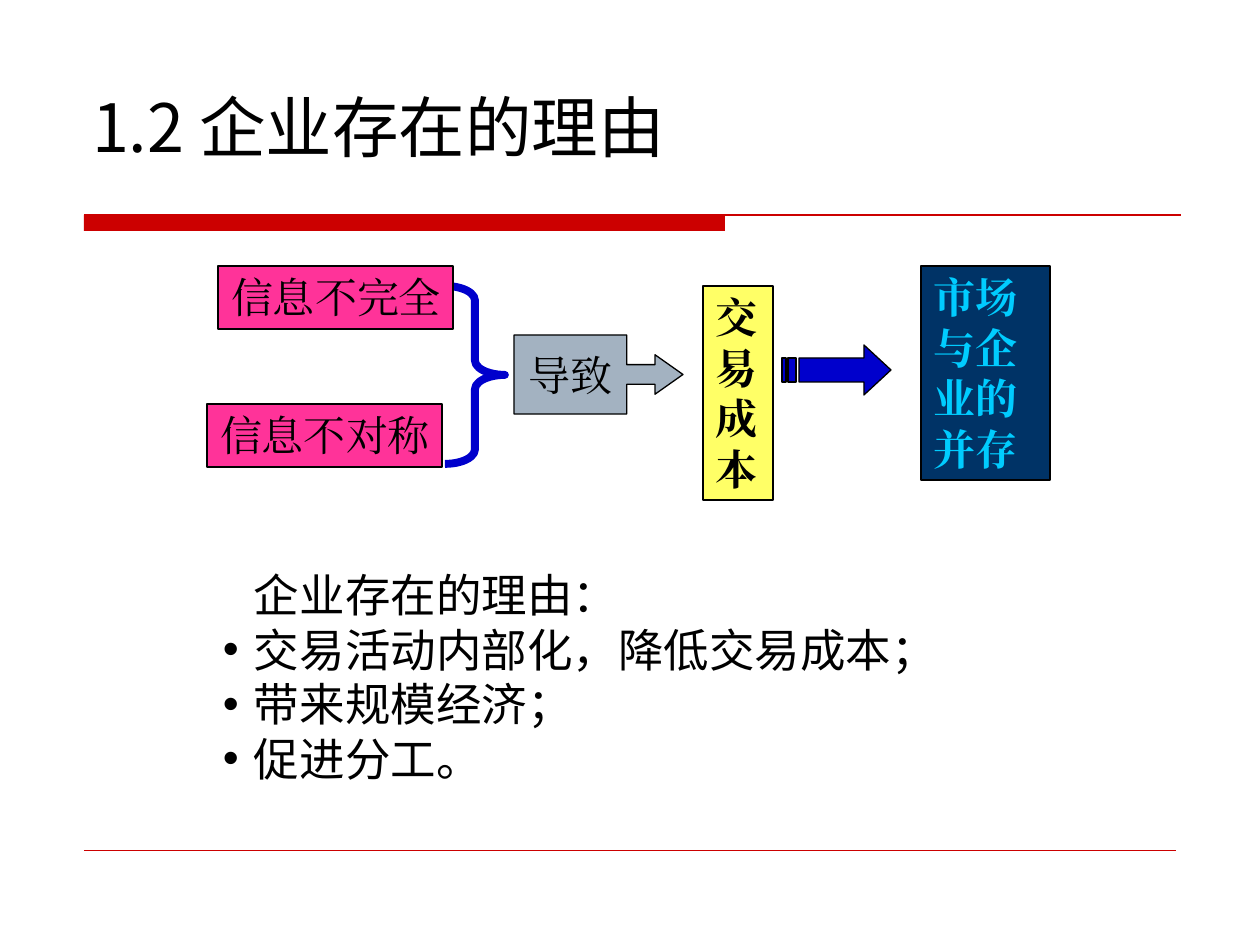
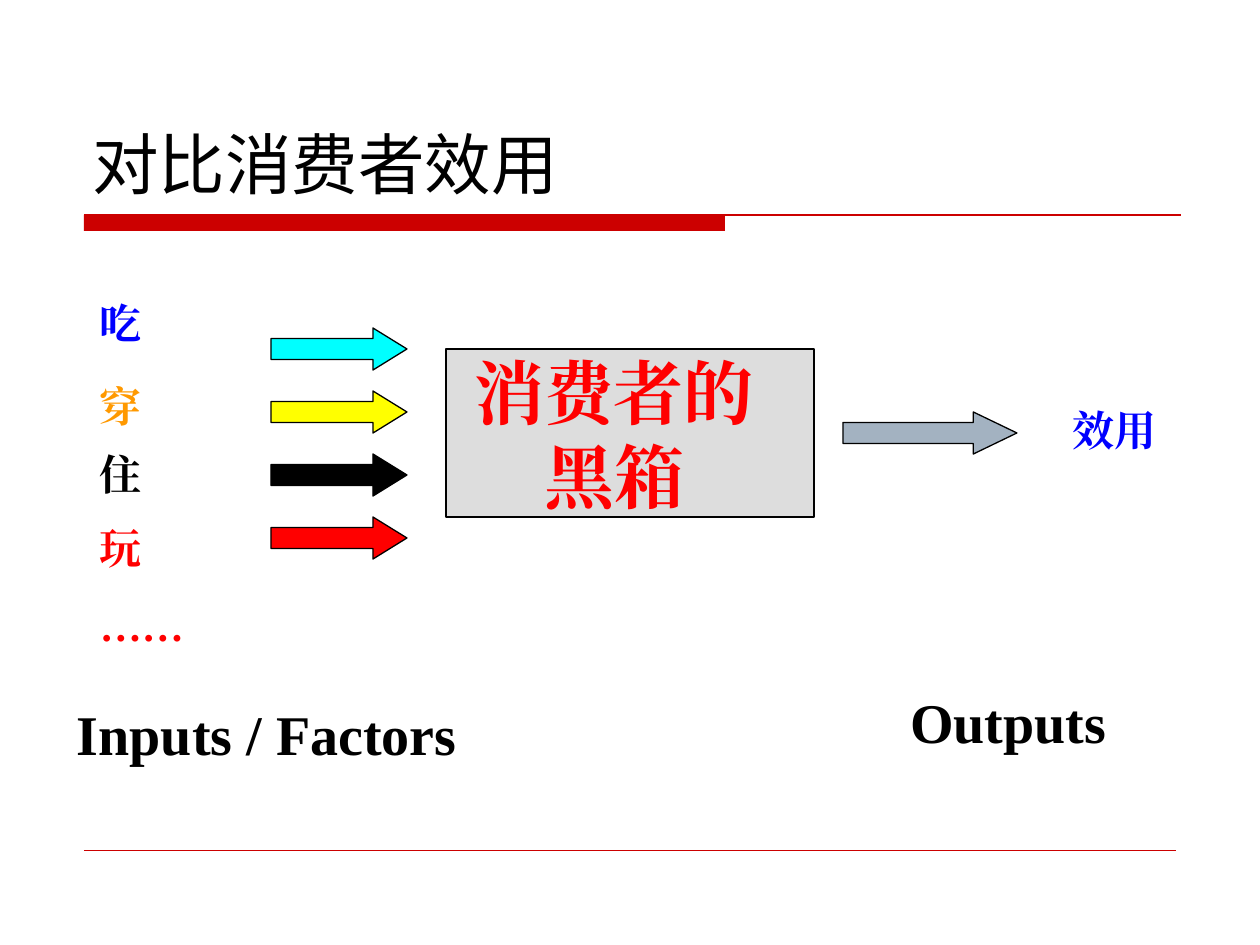
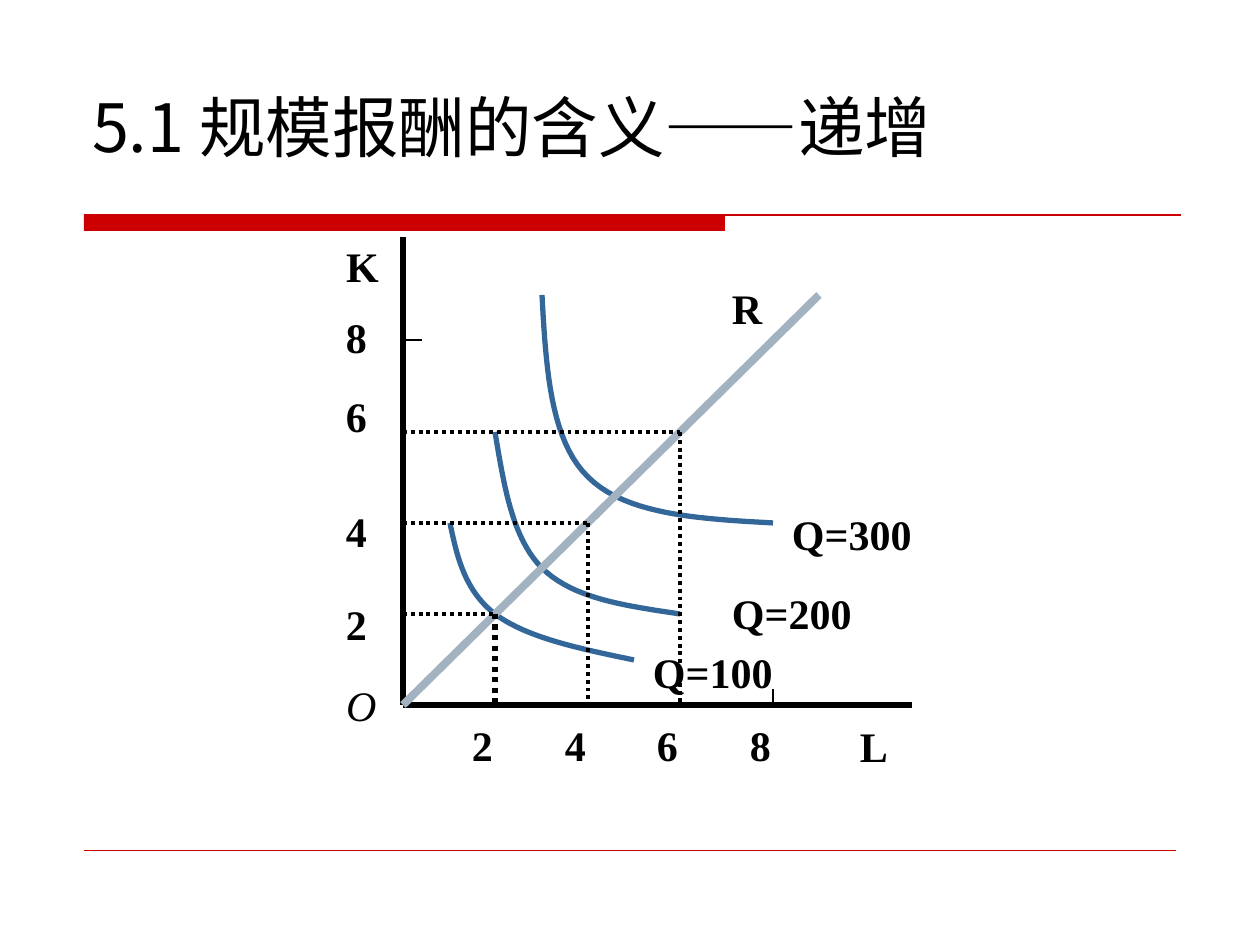
"""Build three slides on firms, consumer utility and returns to scale."""
import lxml.etree
import pptx
import pptx.dml.color
import pptx.enum.dml
import pptx.enum.shapes
import pptx.enum.text
import pptx.oxml.ns
import pptx.util

RGBColor = pptx.dml.color.RGBColor
SHAPE = pptx.enum.shapes.MSO_SHAPE
ALIGN = pptx.enum.text.PP_ALIGN
ANCHOR = pptx.enum.text.MSO_ANCHOR
DOTTED = pptx.enum.dml.MSO_LINE.ROUND_DOT
qn = pptx.oxml.ns.qn

PX = 7257
BLACK = RGBColor(0x00, 0x00, 0x00)
RED = RGBColor(0xFF, 0x00, 0x00)
BLUE = RGBColor(0x00, 0x00, 0xFF)
ORANGE = RGBColor(0xFF, 0x99, 0x00)
YELLOW = RGBColor(0xFF, 0xFF, 0x00)
CYAN = RGBColor(0x00, 0xFF, 0xFF)
CRIMSON = RGBColor(0xCC, 0x00, 0x00)
PINK = RGBColor(0xFF, 0x33, 0x99)
SLATE = RGBColor(0xA3, 0xB2, 0xC1)
LEMON = RGBColor(0xFF, 0xFF, 0x66)
NAVY = RGBColor(0x00, 0x33, 0x66)
SKY = RGBColor(0x00, 0xCC, 0xFF)
ROYAL = RGBColor(0x00, 0x00, 0xCC)
SILVER = RGBColor(0xDD, 0xDD, 0xDD)
STEEL = RGBColor(0x33, 0x66, 0x99)
SERIF = "Times New Roman"


def put(page, place, text="", shape=None, adjust=(), fill=None, line=BLACK, width=0.75,
        size=24, color=BLACK, font=SERIF, bold=False, italic=False, align=ALIGN.LEFT,
        anchor=ANCHOR.TOP, inset=(13, 6), wrap=True, gap=0, margin=0, bullets_from=None):
    left, top, wide, high = [length * PX for length in place]
    if shape is None:
        box = page.shapes.add_textbox(left, top, wide, high)
    else:
        box = page.shapes.add_shape(shape, left, top, wide, high)
        box.shadow.inherit = False
        for index, value in enumerate(adjust):
            box.adjustments[index] = value
        if fill is None:
            box.fill.background()
        else:
            box.fill.solid()
            box.fill.fore_color.rgb = fill
        if line is None:
            box.line.fill.background()
        else:
            box.line.color.rgb = line
            box.line.width = pptx.util.Pt(width)
    if not text:
        return
    frame = box.text_frame
    frame.word_wrap = wrap
    frame.vertical_anchor = anchor
    frame.margin_left = frame.margin_right = inset[0] * PX
    frame.margin_top = frame.margin_bottom = inset[1] * PX
    for index, words in enumerate(text.split("\n")):
        para = frame.paragraphs[0] if index == 0 else frame.add_paragraph()
        para.alignment = align
        if index:
            para.space_before = pptx.util.Pt(gap)
        properties = para._p.get_or_add_pPr()
        if margin:
            properties.set("marL", str(margin * PX))
        if bullets_from is not None and index >= bullets_from:
            properties.set("indent", str(-31 * PX))
            lxml.etree.SubElement(properties, qn("a:buFont")).set("typeface", "Arial")
            lxml.etree.SubElement(properties, qn("a:buChar")).set("char", "•")
        span = para.add_run()
        span.text = words
        span.font.size = pptx.util.Pt(size)
        span.font.bold = bold
        span.font.italic = italic
        span.font.color.rgb = color
        span.font.name = font
        east = lxml.etree.SubElement(span._r.get_or_add_rPr(), qn("a:ea"))
        east.set("typeface", font)


def draw_line(page, start, end, color=BLACK, width=0.75, dash=None):
    link = page.shapes.add_connector(
        pptx.enum.shapes.MSO_CONNECTOR.STRAIGHT, *[length * PX for length in start + end])
    link.line.color.rgb = color
    link.line.width = pptx.util.Pt(width)
    if dash is not None:
        link.line.dash_style = dash
    lxml.etree.SubElement(link._element.spPr, qn("a:effectLst"))


deck = pptx.Presentation()
deck.slide_width = 1260 * PX
deck.slide_height = 945 * PX

pages = []
for title, anchor in (("1.2 企业存在的理由", ANCHOR.MIDDLE),
                      ("对比消费者效用", ANCHOR.BOTTOM),
                      ("5.1 规模报酬的含义——递增", ANCHOR.MIDDLE)):
    page = deck.slides.add_slide(deck.slide_layouts[6])
    put(page, (84, 215, 641, 16), shape=SHAPE.RECTANGLE, fill=CRIMSON, line=None)
    draw_line(page, (84, 215), (1181, 215), CRIMSON)
    draw_line(page, (84, 850), (1176, 850), CRIMSON, 0.25)
    put(page, (79, 42, 1103, 167), title, size=38, font="Noto Sans CJK SC", anchor=anchor)
    pages.append(page)
reasons, utility, returns = pages

put(reasons, (207, 404, 235, 63), "信息不对称", SHAPE.RECTANGLE, fill=PINK, wrap=False)
put(reasons, (445, 286, 60, 178), shape=SHAPE.RIGHT_BRACE, adjust=(0.24, 0.5),
    line=ROYAL, width=4.5)
put(reasons, (514, 335, 169, 79), "导致", SHAPE.RIGHT_ARROW_CALLOUT,
    adjust=(0.25, 0.25, 0.354, 0.667), fill=SLATE, wrap=False,
    align=ALIGN.CENTER, anchor=ANCHOR.MIDDLE)
put(reasons, (703, 286, 70, 214), "交易成本", SHAPE.RECTANGLE, fill=LEMON, bold=True)
put(reasons, (921, 266, 129, 214), "市场与企业的并存", SHAPE.RECTANGLE,
    fill=NAVY, color=SKY, bold=True)

outlines = [[(864, 345), (864, 358), (799, 358), (799, 382), (864, 382), (864, 395), (891, 370)]]
for left, right in ((788, 796), (782, 786)):
    outlines.append([(left, 358), (left, 382), (right, 382), (right, 358)])
builder = reasons.shapes.build_freeform(*outlines[0][0], scale=PX)
for index, outline in enumerate(outlines):
    if index:
        builder.move_to(*outline[0])
    builder.add_line_segments(outline[1:], close=True)
striped_arrow = builder.convert_to_shape()
striped_arrow.shadow.inherit = False
striped_arrow.fill.solid()
striped_arrow.fill.fore_color.rgb = ROYAL
striped_arrow.line.color.rgb = BLACK
striped_arrow.line.width = pptx.util.Pt(0.75)

put(reasons, (218, 266, 235, 63), "信息不完全", SHAPE.RECTANGLE, fill=PINK, wrap=False)
put(reasons, (178, 561, 866, 232),
    "企业存在的理由：\n交易活动内部化，降低交易成本；\n带来规模经济；\n促进分工。",
    size=26, font="Arial", margin=63, bullets_from=1)

put(utility, (446, 349, 368, 168), shape=SHAPE.RECTANGLE, fill=SILVER)
for row, color in enumerate((CYAN, YELLOW, BLACK, RED)):
    put(utility, (271, 328 + 63 * row, 136, 42), shape=SHAPE.RIGHT_ARROW,
        adjust=(0.5, 0.808), fill=color)
put(utility, (843, 412, 174, 42), shape=SHAPE.RIGHT_ARROW, adjust=(0.5, 1.037), fill=SLATE)
for left, top, high, text, color in ((87, 292, 63, "吃", BLUE), (87, 375, 63, "穿", ORANGE),
                                     (87, 443, 63, "住", BLACK), (87, 517, 140, "玩\n……", RED),
                                     (1060, 399, 63, "效用", BLUE)):
    put(utility, (left, top, 151, high), text, color=color, bold=True, gap=15)
put(utility, (472, 349, 284, 168), "消费者的\n黑箱", size=40, color=RED, bold=True,
    align=ALIGN.CENTER, anchor=ANCHOR.MIDDLE, inset=(0, 0))
for place, text in (((39, 693, 456, 81), "Inputs / Factors"), ((863, 682, 291, 81), "Outputs")):
    put(utility, place, text, size=32, bold=True, align=ALIGN.CENTER)

origin_x, origin_y = 403, 705
column = {value: origin_x + 185 * value // 4 for value in (2, 4, 6, 8)}
level = {value: origin_y - 365 * value // 8 for value in (2, 4, 6, 8)}

draw_line(returns, (origin_x, origin_y), (912, origin_y), width=3)
isoquants = (
    ((450, 523), (457, 557), (465, 591), (495, 614), (527, 638), (581, 649), (634, 660)),
    ((495, 432), (504, 485), (512, 538), (542, 568), (573, 599), (627, 606), (680, 614)),
    ((542, 295), (546, 367), (550, 440), (588, 477), (626, 515), (700, 519), (773, 523)),
)
for controls in isoquants:
    points = []
    for start in (0, 3):
        for step in range(21):
            t = step / 20
            weights = ((1 - t) ** 3, 3 * t * (1 - t) ** 2, 3 * t ** 2 * (1 - t), t ** 3)
            points.append([sum(weight * controls[start + index][axis] * PX
                               for index, weight in enumerate(weights)) for axis in (0, 1)])
    builder = returns.shapes.build_freeform(*points[0])
    builder.add_line_segments(points[1:], close=False)
    curve = builder.convert_to_shape()
    curve.shadow.inherit = False
    curve.fill.background()
    curve.line.color.rgb = STEEL
    curve.line.width = pptx.util.Pt(3)

draw_line(returns, (origin_x, origin_y), (origin_x, 237), width=3)
draw_line(returns, (422, level[8]), (origin_x, level[8]))
draw_line(returns, (column[8], 689), (column[8], origin_y))
draw_line(returns, (origin_x, origin_y), (819, 295), SLATE, 4.5)
for value in (2, 4, 6):
    corner = (column[value], level[value])
    draw_line(returns, (origin_x, level[value]), corner, width=2.25, dash=DOTTED)
    draw_line(returns, corner, (column[value], origin_y),
              width=3 if value == 2 else 2.25, dash=DOTTED)

for value, top in ((2, 593), (4, 500), (6, 385), (8, 306)):
    put(returns, (column[value] - 36, 713, 48, 54), str(value), bold=True)
    put(returns, (333, top, 49, 50), str(value), bold=True)
for left, top, text in ((640, 641, "Q=100"), (719, 582, "Q=200"), (779, 503, "Q=300")):
    put(returns, (left, top, 156, 53), text, bold=True)
for left, top, text in ((847, 714, "L"), (333, 234, "K"), (719, 276, "R"), (333, 673, "O")):
    put(returns, (left, top, 58, 57), text, bold=text != "O", italic=text == "O")

deck.save("out.pptx")
